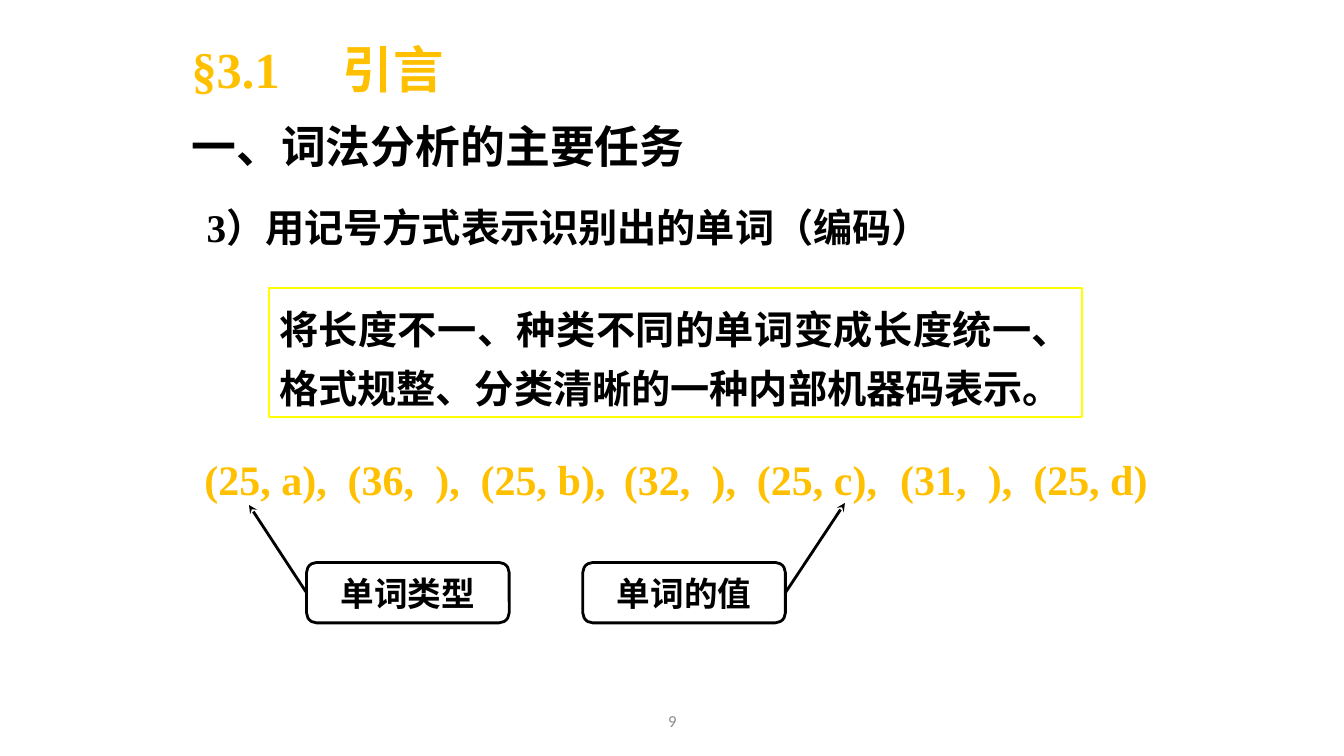
from pptx import Presentation
from pptx.dml.color import RGBColor
from pptx.enum.shapes import MSO_CONNECTOR as CONN, MSO_SHAPE as SHAPE
from pptx.enum.text import MSO_ANCHOR as ANCHOR, PP_ALIGN as ALIGN
from pptx.oxml.ns import qn
from pptx.util import Inches, Pt
from lxml.etree import SubElement

BLACK = RGBColor(0, 0, 0)
GOLD = RGBColor(0xFF, 0xC0, 0)
YELLOW = RGBColor(0xFF, 0xFF, 0)
GRAY = RGBColor(0x8C, 0x8C, 0x8C)
SERIF, SANS = "Times New Roman", "Calibri"

# Content
TITLE = "§3.1\t引言"
HEADING = "一、词法分析的主要任务"
STEP = "3）用记号方式表示识别出的单词（编码）"
SUMMARY = "将长度不一、种类不同的单词变成长度统一、格式规整、分类清晰的一种内部机器码表示。"
TOKENS = [("25", "a"), ("36", ""), ("25", "b"), ("32", ""),
          ("25", "c"), ("31", ""), ("25", "d")]
PAGE = "9"
# Label, left edge, side the arrow leaves from, arrow start and tip
LABELS = [("单词类型", 3.04, 1, (3.04, 5.88), (2.47, 5.01)),
          ("单词的值", 5.78, 3, (7.79, 5.88), (8.38, 4.99))]
LABEL_TOP, LABEL_W, LABEL_H = 5.58, 2.01, 0.6

# Tab stops: each valued token and the empty one after it form a pair
TITLE_STOP = 1.5
PAIR_STEP, EMPTY_AT, CLOSE_AT = 2.74, 1.42, 2.29
TOKEN_STOPS = [pair * PAIR_STEP + at for pair in range(3)
               for at in (EMPTY_AT, CLOSE_AT, PAIR_STEP)]

prs = Presentation()
prs.slide_width, prs.slide_height = Inches(13.33), Inches(7.5)
s = prs.slides.add_slide(prs.slide_layouts[6])


def box(x, y, w, h, anchor=ANCHOR.TOP):
    tf = s.shapes.add_textbox(*map(Inches, (x, y, w, h))).text_frame
    tf.word_wrap = True
    tf.vertical_anchor = anchor
    return tf


def outlined(kind, x, y, w, h, color, width):
    sp = s.shapes.add_shape(kind, *map(Inches, (x, y, w, h)))
    sp.shadow.inherit = False
    sp.fill.background()
    sp.line.color.rgb = color
    sp.line.width = Pt(width)
    return sp


def write(p, text, size, color=BLACK, font=SERIF, bold=True,
          align=ALIGN.LEFT, spacing=None, stops=()):
    if stops:
        tabs = SubElement(p._p.get_or_add_pPr(), qn("a:tabLst"))
        for stop in stops:
            SubElement(tabs, qn("a:tab"), pos=str(Inches(stop)), algn="l")
    p.alignment = align
    if spacing:
        p.line_spacing = spacing
    r = p.add_run()
    r.text = text
    r.font.size, r.font.name, r.font.bold = Pt(size), font, bold
    r.font.color.rgb = color


# Page number
tf = box(4.42, 6.95, 4.5, 0.4, ANCHOR.MIDDLE)
write(tf.paragraphs[0], PAGE, 12, GRAY, SANS, False, ALIGN.CENTER)

# Title and heading
tf = box(1.76, 0.21, 9.67, 5.83)
tf.margin_left = Inches(0.14)
write(tf.paragraphs[0], TITLE, 36, GOLD, spacing=1.2, stops=[TITLE_STOP])
p = tf.add_paragraph()
p.space_before = Pt(6.4)
write(p, HEADING, 32, spacing=1.2)

# Step line
tf = box(1.95, 1.97, 8.68, 0.57)
write(tf.paragraphs[0], STEP, 28, align=ALIGN.JUSTIFY)

# Token sequence
parts = [f"({kind}, {value})" if value else f"({kind},\t)" for kind, value in TOKENS]
tf = box(1.93, 4.45, 10.14, 0.61)
write(tf.paragraphs[0], ",\t".join(parts), 30, GOLD, stops=TOKEN_STOPS)

# Labels with arrows to the token parts
for text, x, side, start, tip in LABELS:
    sp = outlined(SHAPE.ROUNDED_RECTANGLE, x, LABEL_TOP, LABEL_W, LABEL_H, BLACK, 2)
    tf = sp.text_frame
    tf.word_wrap = False
    tf.vertical_anchor = ANCHOR.MIDDLE
    write(tf.paragraphs[0], text, 24, font=SANS, align=ALIGN.CENTER)
    arrow = s.shapes.add_connector(CONN.STRAIGHT, *map(Inches, start + tip))
    arrow.begin_connect(sp, side)
    arrow.line.color.rgb = BLACK
    arrow.line.width = Pt(2)
    SubElement(arrow.line._get_or_add_ln(), qn("a:tailEnd"), type="stealth")
    SubElement(arrow._element.spPr, qn("a:effectLst"))

# Summary frame
tf = outlined(SHAPE.RECTANGLE, 2.67, 2.86, 8.06, 1.28, YELLOW, 1.25).text_frame
tf.word_wrap = True
tf.vertical_anchor = ANCHOR.TOP
write(tf.paragraphs[0], SUMMARY, 28, align=ALIGN.JUSTIFY, spacing=1.25)

prs.save("out.pptx")
